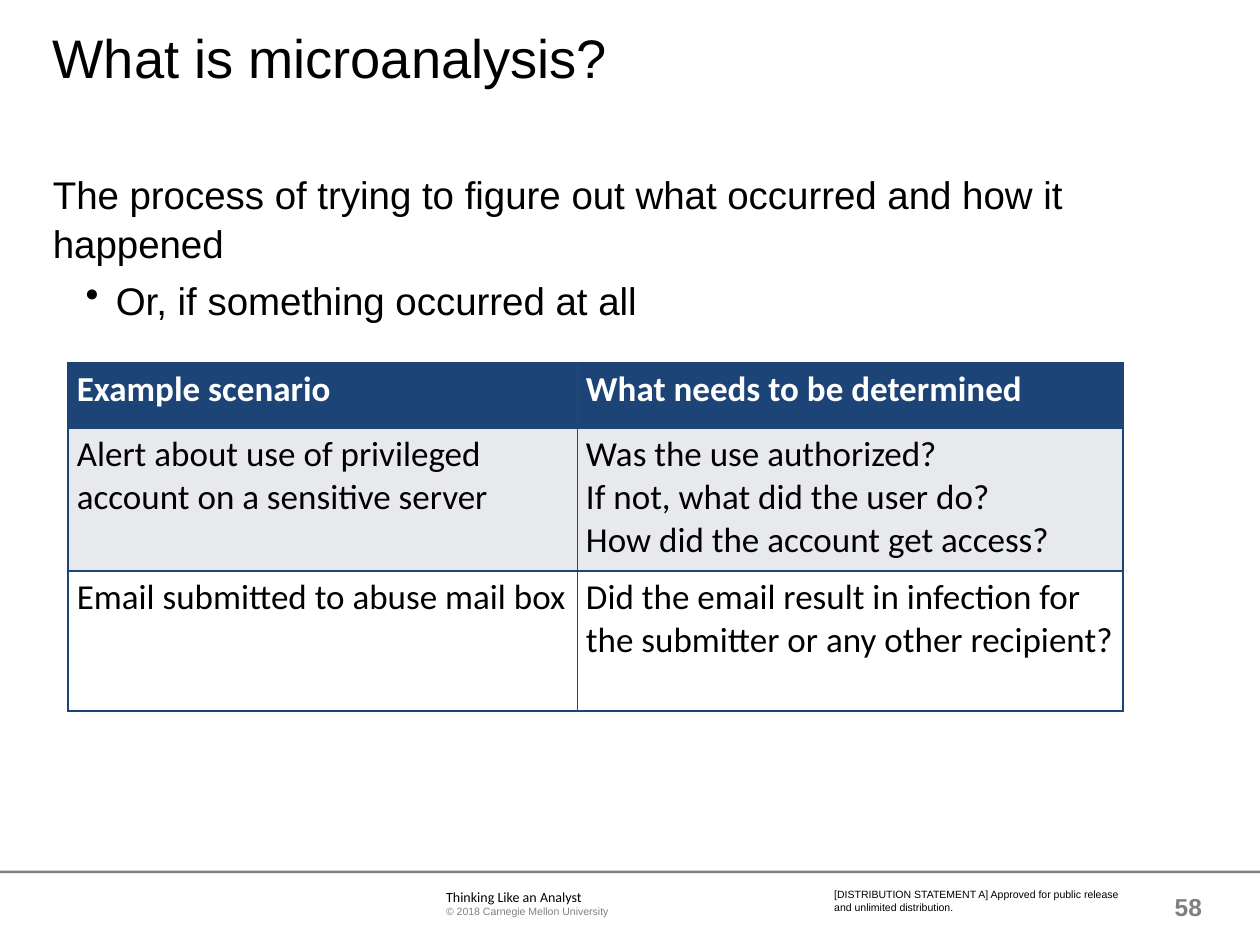
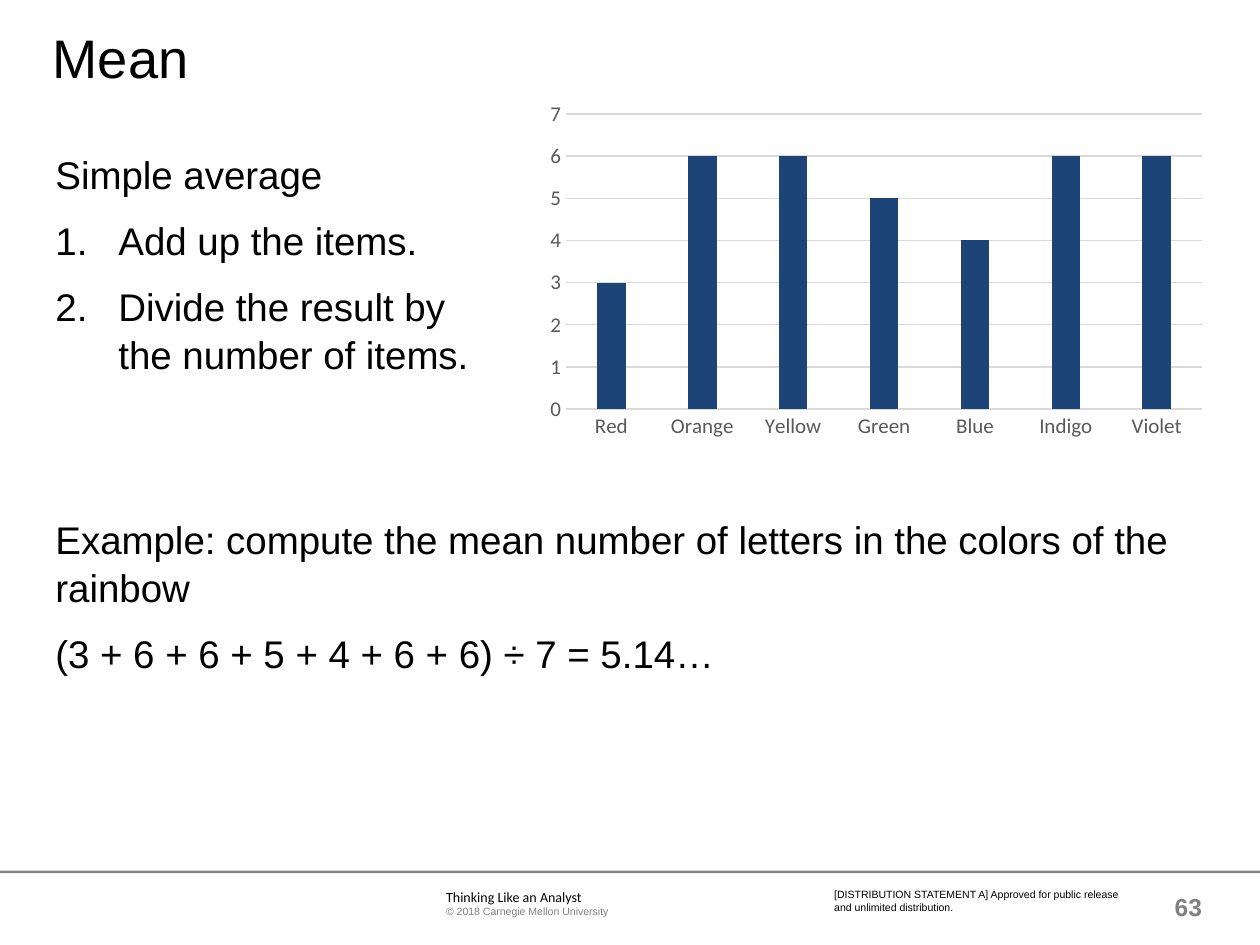
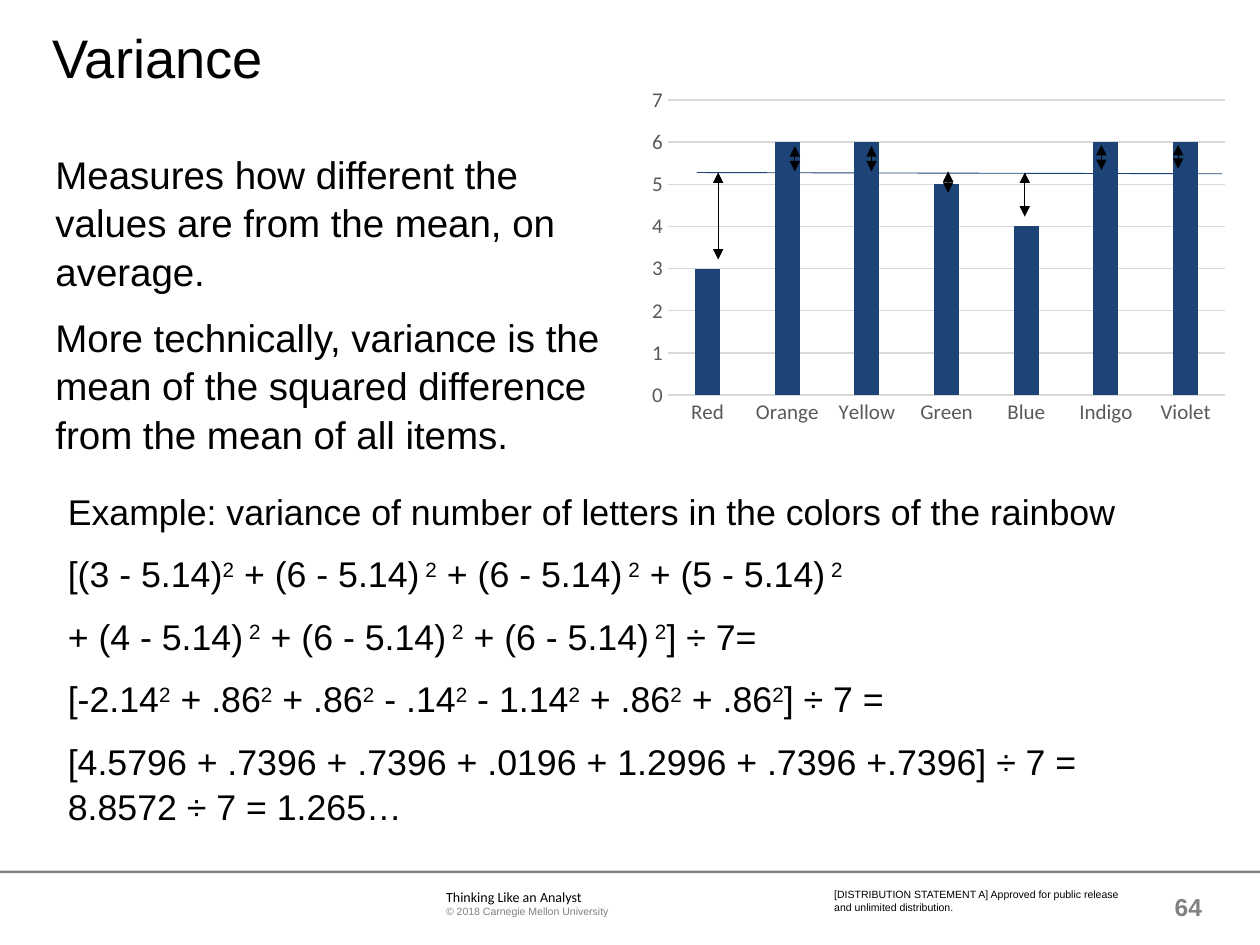
import collections

import pptx
import pptx.chart.data
import pptx.dml.color
import pptx.enum.chart
import pptx.enum.shapes
import pptx.enum.text
import pptx.oxml
import pptx.oxml.ns
import pptx.util

Pt = pptx.util.Pt
Box = collections.namedtuple("Box", "left top width height")

COLORS = {
    "black": "000000", "white": "FFFFFF", "navy": "1D4477", "divider": "00568E",
    "band": "E8E9EC", "gray": "808080", "label": "595959", "grid": "D9D9D9",
}

# Character formats
FONTS = {
    "title": {"name": "Arial", "size": 31, "color": "black"},
    "body": {"name": "Arial", "size": 22, "color": "black"},
    "working": {"name": "Arial", "size": 20.4, "color": "black"},
    "number": {"name": "Arial", "size": 14, "color": "gray", "bold": True},
    "course": {"name": "Calibri", "size": 8, "color": "black"},
    "copyright": {"name": "Arial", "size": 6, "color": "gray"},
    "statement": {"name": "Arial", "size": 6, "color": "black"},
    "header cell": {"name": "Calibri", "size": 20, "color": "white", "bold": True},
    "cell": {"name": "Calibri", "size": 20, "color": "black", "bold": False},
    "chart": {"name": "Calibri", "size": 10, "color": "black"},
    "axis": {"name": "Calibri", "size": 12, "color": "label"},
}

# Paragraph formats
PLAIN = {}
TIGHT = {"line_spacing": 0.9}
BODY = {"line_spacing": 1.05, "space_before": Pt(10)}
SUB_BODY = {"line_spacing": 1.05, "space_before": Pt(5)}
RIGHT = {"alignment": pptx.enum.text.PP_ALIGN.RIGHT}

# List marks: left margin, hanging indent, bullet element
DOT = (36, -17.3, '<a:buChar %s char="•"/>')
NUMBERED = (36, -36, '<a:buAutoNum %s type="arabicPeriod"/>')

PAGE = Box(0, 0, 720, 540)
FOOTER = Box(0, 497.5, 720, 42.5)
TITLE = Box(30.2, 18, 612, 69)

LETTERS = {"Red": 3, "Orange": 6, "Yellow": 6, "Green": 5,
           "Blue": 4, "Indigo": 6, "Violet": 6}
# Top and bottom of each arrow between a bar and the mean, from the chart's top
MEAN_GAPS = [(52.6, 102.3), (37.5, 51.9), (37.5, 51.9), (52, 64.2),
             (52.6, 77.8), (36.8, 51.2), (36.8, 50.5)]


def rgb(color):
    return pptx.dml.color.RGBColor.from_string(COLORS[color])


def points(box):
    return [Pt(value) for value in box]


def xml(text):
    return pptx.oxml.parse_xml(text)


def set_fill(fill, color):
    fill.solid()
    fill.fore_color.rgb = rgb(color)


def set_font(font, style):
    for key, value in FONTS[style].items():
        if key == "color":
            font.color.rgb = rgb(value)
        else:
            setattr(font, key, Pt(value) if key == "size" else value)


def write(para, text, style):
    """Text between ^ marks is raised; a newline is a line break."""
    for part, piece in enumerate(text.split("^")):
        for row, line in enumerate(piece.split("\n")):
            if row:
                para.add_line_break()
            if line:
                span = para.add_run()
                span.text = line
                set_font(span.font, style)
                if part % 2:
                    span.font._element.set("baseline", "30000")


def add_text(page, box, paragraphs, margins=(0, 0, 0, 0), anchor="TOP"):
    """Each paragraph is text, font style, paragraph format and optional list mark."""
    frame = page.shapes.add_textbox(*points(box)).text_frame
    frame.word_wrap = True
    frame.vertical_anchor = getattr(pptx.enum.text.MSO_ANCHOR, anchor)
    for side, margin in zip(("left", "top", "right", "bottom"), margins):
        setattr(frame, "margin_" + side, Pt(margin))
    for index, (text, style, layout, *mark) in enumerate(paragraphs):
        para = frame.add_paragraph() if index else frame.paragraphs[0]
        for key, value in layout.items():
            if index or key != "space_before":
                setattr(para, key, value)
        for margin, indent, bullet in mark:
            props = para._p.get_or_add_pPr()
            props.set("marL", str(Pt(margin)))
            props.set("indent", str(Pt(indent)))
            props.append(xml(bullet % pptx.oxml.ns.nsdecls("a")))
        write(para, text, style)


def add_footer(page, box, number):
    rule = page.shapes.add_shape(pptx.enum.shapes.MSO_SHAPE.RECTANGLE,
                                 *points(box._replace(height=1.4)))
    rule.shadow.inherit = False
    set_fill(rule.fill, "gray")
    rule.line.fill.background()
    text_top = box.top + 10.1
    add_text(page, Box(box.left + 254.9, text_top, 210.2, 17.3),
             [("Thinking Like an Analyst", "course", PLAIN),
              ("© 2018 Carnegie Mellon University", "copyright", PLAIN)],
             margins=(0, 0, 3.6, 0))
    add_text(page, Box(box.left + 476.7, text_top, 164.9, 14.4),
             [("[DISTRIBUTION STATEMENT A] Approved for public release "
               "and unlimited distribution.", "statement", PLAIN)])
    add_text(page, Box(box.left + 655.2, box.top + 6.5, 31.7, 28.8),
             [(str(number), "number", RIGHT)], anchor="MIDDLE")


def add_page(deck, title, number):
    page = deck.slides.add_slide(deck.slide_layouts[6])
    add_footer(page, FOOTER, number)
    add_text(page, TITLE, [(title, "title", TIGHT)])
    return page


def set_borders(cell, colors):
    props = cell._tc.get_or_add_tcPr()
    for side, color in zip("LRTB", colors):
        props.append(xml(
            f'<a:ln{side} {pptx.oxml.ns.nsdecls("a")} w="{Pt(1)}"><a:solidFill>'
            f'<a:srgbClr val="{COLORS[color]}"/></a:solidFill></a:ln{side}>'))


def add_scenarios(page, box, rows, widths, heights):
    table = page.shapes.add_table(len(rows), len(widths), *points(box)).table
    table.horz_banding = False
    for column, width in zip(table.columns, widths):
        column.width = Pt(width)
    for index, (texts, height) in enumerate(zip(rows, heights)):
        table.rows[index].height = Pt(height)
        for side, text in enumerate(texts):
            cell = table.cell(index, side)
            cell.margin_left = cell.margin_right = Pt(5)
            cell.margin_top = cell.margin_bottom = Pt(2.9)
            outer = ("divider", "navy") if side else ("navy", "divider")
            set_borders(cell, outer + ("navy", "navy"))
            set_fill(cell.fill, ("navy", "band", "white")[index])
            write(cell.text_frame.paragraphs[0], text,
                  "cell" if index else "header cell")


def add_letter_chart(page, box):
    data = pptx.chart.data.CategoryChartData()
    data.categories = list(LETTERS)
    data.add_series("Series 1", list(LETTERS.values()))
    chart = page.shapes.add_chart(pptx.enum.chart.XL_CHART_TYPE.COLUMN_CLUSTERED,
                                  *points(box), data).chart
    chart.has_legend = chart.has_title = False
    set_font(chart.font, "chart")
    plot = chart.plots[0]
    for key, value in {"gap_width": 219, "overlap": -27,
                       "vary_by_categories": False}.items():
        setattr(plot, key, value)
    set_fill(plot.series[0].format.fill, "navy")

    # Axes
    values, names = chart.value_axis, chart.category_axis
    for key, value in {"minimum_scale": 0, "maximum_scale": 7, "major_unit": 1,
                       "has_major_gridlines": True}.items():
        setattr(values, key, value)
    for axis in (values, names):
        axis.major_tick_mark = axis.minor_tick_mark = pptx.enum.chart.XL_TICK_MARK.NONE
        set_font(axis.tick_labels.font, "axis")
    values.format.line.fill.background()
    for line in (values.major_gridlines.format.line, names.format.line):
        line.color.rgb = rgb("grid")
        line.width = Pt(0.75)


def add_line(page, start, end, color, arrows=False):
    line = page.shapes.add_connector(pptx.enum.shapes.MSO_CONNECTOR.STRAIGHT,
                                     *points(start + end))
    line.line.color.rgb = rgb(color)
    line.line.width = Pt(0.5)
    namespace = pptx.oxml.ns.nsdecls("a")
    if arrows:
        for end_name in ("headEnd", "tailEnd"):
            line.line._get_or_add_ln().append(
                xml(f'<a:{end_name} {namespace} type="triangle"/>'))
    line._element.spPr.append(xml(f"<a:effectLst {namespace}/>"))


def add_mean_marks(page, box):
    add_line(page, (box.left + 32.4, box.top + 52.6),
             (box.left + 332.6, box.top + 53.3), "navy")
    for index, (top, bottom) in enumerate(MEAN_GAPS):
        x = box.left + 44.6 + 43.8 * index
        add_line(page, (x, box.top + top), (x, box.top + bottom), "black", arrows=True)


def build_microanalysis(deck):
    page = add_page(deck, "What is microanalysis?", 58)
    add_text(page, Box(30.2, 96.5, 656.6, 383), [
        ("The process of trying to figure out what occurred and how it happened",
         "body", BODY),
        ("Or, if something occurred at all", "body", SUB_BODY, DOT)])
    add_scenarios(page, Box(38.9, 207.4, 603, 199), [
        ("Example scenario", "What needs to be determined"),
        ("Alert about use of privileged account on a sensitive server",
         "Was the use authorized?\nIf not, what did the user do?\n"
         "How did the account get access?"),
        ("Email submitted to abuse mail box",
         "Did the email result in infection for the submitter or any other recipient?"),
    ], widths=(291, 312), heights=(37.4, 81.4, 80))


def build_mean(deck):
    page = add_page(deck, "Mean", 63)
    add_text(page, Box(31.7, 85, 655.2, 180), [
        ("Simple average", "body", BODY),
        ("Add up the items.", "body", BODY, NUMBERED),
        ("Divide the result by \nthe number of items.", "body", BODY, NUMBERED)])
    add_text(page, Box(31.7, 293.4, 655.2, 186), [
        ("Example: compute the mean number of letters in the colors of the rainbow",
         "body", BODY),
        ("(3 + 6 + 6 + 5 + 4 + 6 + 6) ÷ 7 = 5.14…", "body", BODY)])
    add_letter_chart(page, Box(306.7, 54, 388, 200.9))


def build_variance(deck):
    page = add_page(deck, "Variance", 64)
    add_text(page, Box(31.7, 85, 322.6, 194.4), [
        ("Measures how different the values are from the mean, on average.",
         "body", BODY),
        ("More technically, variance is the mean of the squared difference "
         "from the mean of all items.", "body", BODY)])
    working = [
        "Example: variance of number of letters in the colors of the rainbow",
        "[(3 - 5.14)^2^ + (6 - 5.14)^ 2^ + (6 - 5.14)^ 2^ + (5 - 5.14)^ 2^",
        "+ (4 - 5.14)^ 2^ + (6 - 5.14)^ 2^ + (6 - 5.14)^ 2^] ÷ 7=",
        "[-2.14^2^ + .86^2^ + .86^2^ - .14^2^ - 1.14^2^ + .86^2^ + .86^2^] ÷ 7 =",
        "[4.5796 + .7396 + .7396 + .0196 + 1.2996 + .7396 +.7396] ÷ 7 = "
        "8.8572 ÷ 7 = 1.265…",
    ]
    add_text(page, Box(31.7, 275, 655.2, 198),
             [(text, "working", BODY) for text in working],
             margins=(7.2, 3.6, 7.2, 3.6))
    chart_box = Box(365.8, 46, 341.3, 200.9)
    add_letter_chart(page, chart_box)
    add_mean_marks(page, chart_box)


def main():
    deck = pptx.Presentation()
    deck.slide_width, deck.slide_height = Pt(PAGE.width), Pt(PAGE.height)
    for build in (build_microanalysis, build_mean, build_variance):
        build(deck)
    deck.save("out.pptx")


if __name__ == "__main__":
    main()
